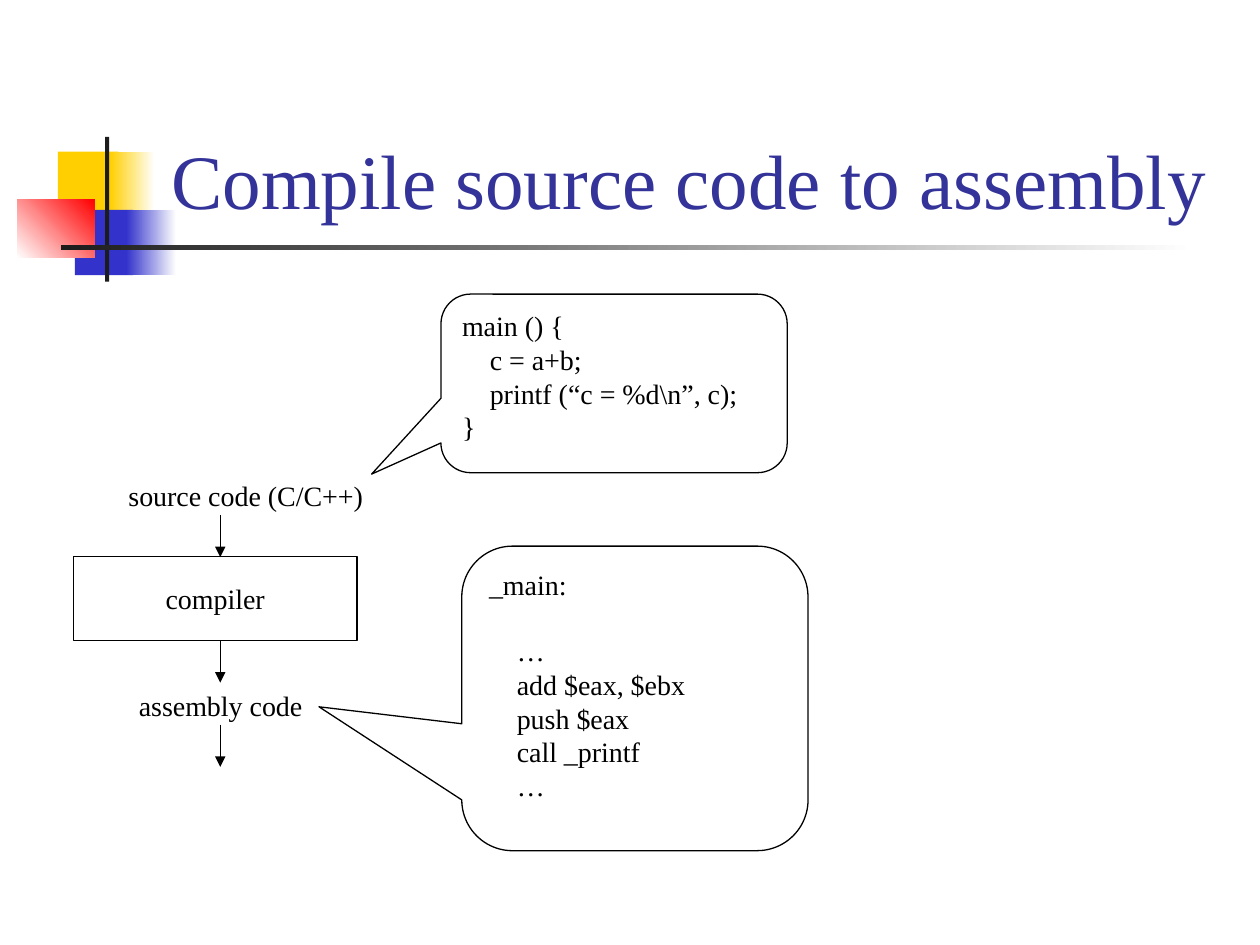
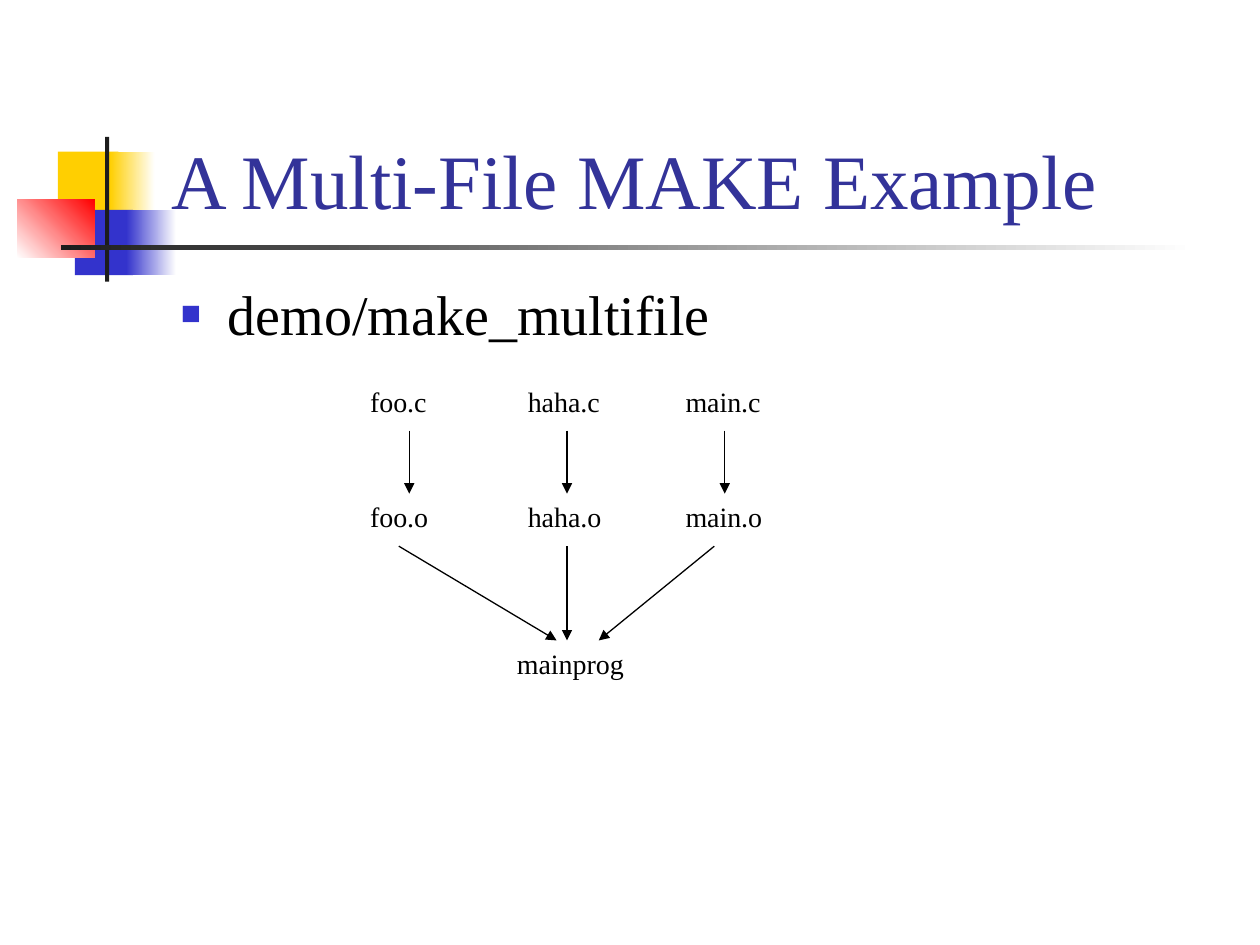
from lxml.etree import SubElement
from pptx import Presentation
from pptx.dml.color import RGBColor as RGB
from pptx.enum.shapes import MSO_CONNECTOR as CONN, MSO_SHAPE as SHAPE
from pptx.enum.text import MSO_ANCHOR as ANCHOR, MSO_AUTO_SIZE as AUTO, PP_ALIGN as ALIGN
from pptx.oxml.ns import qn
from pptx.util import Cm, Pt

COLORS = {
    "title": "333399",
    "text": "000000",
    "yellow": "FFCF01",
    "blue": "3333CC",
    "red": "FF0000",
    "dark": "1C1C1C",
    "white": "FFFFFF",
}
FONT = "Times New Roman"
LINE_WIDTH = Pt(0.75)
CODE_INDENT = 0.56
LABEL_HEIGHT = 0.94
FRAME = {"word_wrap": True, "auto_size": AUTO.NONE, "vertical_anchor": ANCHOR.TOP}


def rgb(name):
    return RGB.from_string(COLORS[name])


def set_attrs(obj, values):
    for name, value in values.items():
        setattr(obj, name, value)


def place(sp, box):
    set_attrs(sp, dict(zip(("left", "top", "width", "height"), map(Cm, box))))


def style_run(r, size=16, color="text"):
    set_attrs(r.font, {"name": FONT, "size": Pt(size)})
    r.font.color.rgb = rgb(color)


def write(p, text, size=16, color="text", **fmt):
    set_attrs(p, {"alignment": ALIGN.LEFT, **fmt})
    r = p.add_run()
    r.text = text
    style_run(r, size, color)


def indent(p, left, hanging=0):
    pPr = p._p.get_or_add_pPr()
    pPr.set("marL", str(Cm(left)))
    pPr.set("indent", str(Cm(-hanging)))
    return pPr


def add_band(slide, box, start, end=None, angle=0):
    sp = slide.shapes.add_shape(SHAPE.RECTANGLE, *map(Cm, box))
    sp.shadow.inherit = False
    sp.line.fill.background()
    if end:
        sp.fill.gradient()
        sp.fill.gradient_angle = angle
        for stop, name in zip(sp.fill.gradient_stops, (start, end)):
            stop.color.rgb = rgb(name)
    else:
        sp.fill.solid()
        sp.fill.fore_color.rgb = rgb(start)
    return sp


def decorate_master(prs, slide):
    bands = [
        ((1.17, 3.06, 1.22, 1.32), "yellow"),
        ((2.22, 3.06, 0.9, 1.32), "yellow", "white"),
        ((1.51, 4.23, 1.17, 1.32), "blue"),
        ((2.55, 4.23, 1, 1.32), "blue", "white"),
        ((0.35, 4.02, 1.56, 1.18), "white", "red", 45),
        ((2.12, 2.76, 0.08, 2.92), "dark"),
        ((1.23, 4.94, 22.86, 0.1), "dark", "white"),
    ]
    for band in bands:
        prs.slide_master.shapes.element.append(add_band(slide, *band).element)


def add_title(slide, text):
    sp = slide.shapes.title
    place(sp, (3.2, 0.6, 21.64, 4.06))
    tf = sp.text_frame
    set_attrs(tf, {**FRAME, "vertical_anchor": ANCHOR.BOTTOM})
    write(tf.paragraphs[0], text, 44, "title")


def add_bullet(slide, text):
    sp = slide.placeholders[1]
    place(sp, (3.39, 5.5, 21.59, 1.69))
    set_attrs(sp.text_frame, FRAME)
    p = sp.text_frame.paragraphs[0]
    write(p, text, 32, space_before=Pt(8))
    pPr = indent(p, 0.95, 0.95)
    SubElement(SubElement(pPr, qn("a:buClr")), qn("a:srgbClr"), val=COLORS["blue"])
    SubElement(pPr, qn("a:buSzPct"), val="60000")
    SubElement(pPr, qn("a:buFont"), typeface=FONT)
    SubElement(pPr, qn("a:buChar"), char="■")


def add_label(slide, text, left, top, width):
    box = map(Cm, (left, top, width, LABEL_HEIGHT))
    tf = slide.shapes.add_textbox(*box).text_frame
    set_attrs(tf, {"word_wrap": False, "auto_size": AUTO.SHAPE_TO_FIT_TEXT})
    write(tf.paragraphs[0], text)


def add_arrow(slide, start, end):
    line = slide.shapes.add_connector(CONN.STRAIGHT, *map(Cm, start + end))
    line.line.color.rgb = rgb("text")
    line.line.width = LINE_WIDTH
    SubElement(line.line._get_or_add_ln(), qn("a:tailEnd"), type="triangle")
    SubElement(line.element.spPr, qn("a:effectLst"))


def add_outline(slide, kind, box):
    sp = slide.shapes.add_shape(kind, *map(Cm, box))
    sp.shadow.inherit = False
    sp.fill.background()
    sp.line.color.rgb = rgb("text")
    sp.line.width = LINE_WIDTH
    return sp


def add_step(slide, text, box):
    tf = add_outline(slide, SHAPE.RECTANGLE, box).text_frame
    set_attrs(tf, {"word_wrap": False, "vertical_anchor": ANCHOR.MIDDLE})
    write(tf.paragraphs[0], text, alignment=ALIGN.CENTER)


def add_code_callout(slide, box, tip, lines):
    sp = add_outline(slide, SHAPE.ROUNDED_RECTANGULAR_CALLOUT, box)
    left, top, width, height = box
    tip_x, tip_y = tip
    offsets = ((tip_x - left) / width - 0.5, (tip_y - top) / height - 0.5)
    for i, value in enumerate((*offsets, 1 / 6)):
        sp.adjustments[i] = value
    tf = sp.text_frame
    set_attrs(tf, FRAME)
    for i, (text, level, gap) in enumerate(lines):
        p = tf.add_paragraph() if i else tf.paragraphs[0]
        write(p, text, space_before=Pt(gap))
        indent(p, level * CODE_INDENT)


def build_compile_slide(slide):
    add_title(slide, "Compile source code to assembly")
    add_label(slide, "source code (C/C++)", 2.34, 9.53, 5.3)
    add_step(slide, "compiler", (1.48, 11.22, 5.72, 1.69))
    add_label(slide, "assembly code", 2.55, 13.76, 3.85)
    for top in (10.38, 12.91, 14.61):
        add_arrow(slide, (4.44, top), (4.44, top + 0.85))
    add_code_callout(slide, (8.89, 5.93, 6.98, 3.6), (7.49, 9.56), [
        ("main () {", 0, 0),
        ("c = a+b;", 1, 0),
        ("printf (“c = %d\\n”, c);", 1, 0),
        ("}", 0, 0),
    ])
    add_code_callout(slide, (9.31, 11.01, 6.98, 6.14), (6.43, 14.25), [
        ("_main:", 0, 0),
        ("…", 1, 19),
        ("add $eax, $ebx", 1, 0),
        ("push $eax", 1, 0),
        ("call _printf", 1, 0),
        ("…", 1, 0),
    ])


def build_make_slide(slide):
    add_title(slide, "A Multi-File MAKE Example")
    add_bullet(slide, "demo/make_multifile")
    modules = [
        ("foo", 1.75, 8.04, 11.22),
        ("haha", 2.05, 11.43, 11.43),
        ("main", 2.12, 14.4, 12.07),
    ]
    for i, (name, width, link_start, link_end) in enumerate(modules):
        left = 7.21 + i * 3.18
        add_label(slide, f"{name}.c", left, 7.62, width)
        add_arrow(slide, (left + 1.04, 8.68), (left + 1.04, 9.95))
        add_label(slide, f"{name}.o", left, 9.95, width)
        add_arrow(slide, (link_start, 11.01), (link_end, 12.91))
    add_label(slide, "mainprog", 10.17, 12.91, 2.72)


def main():
    prs = Presentation()
    prs.slide_width, prs.slide_height = Cm(25.4), Cm(19.05)
    compile_slide = prs.slides.add_slide(prs.slide_layouts[5])
    make_slide = prs.slides.add_slide(prs.slide_layouts[1])
    decorate_master(prs, compile_slide)
    build_compile_slide(compile_slide)
    build_make_slide(make_slide)
    prs.save("out.pptx")


if __name__ == "__main__":
    main()
